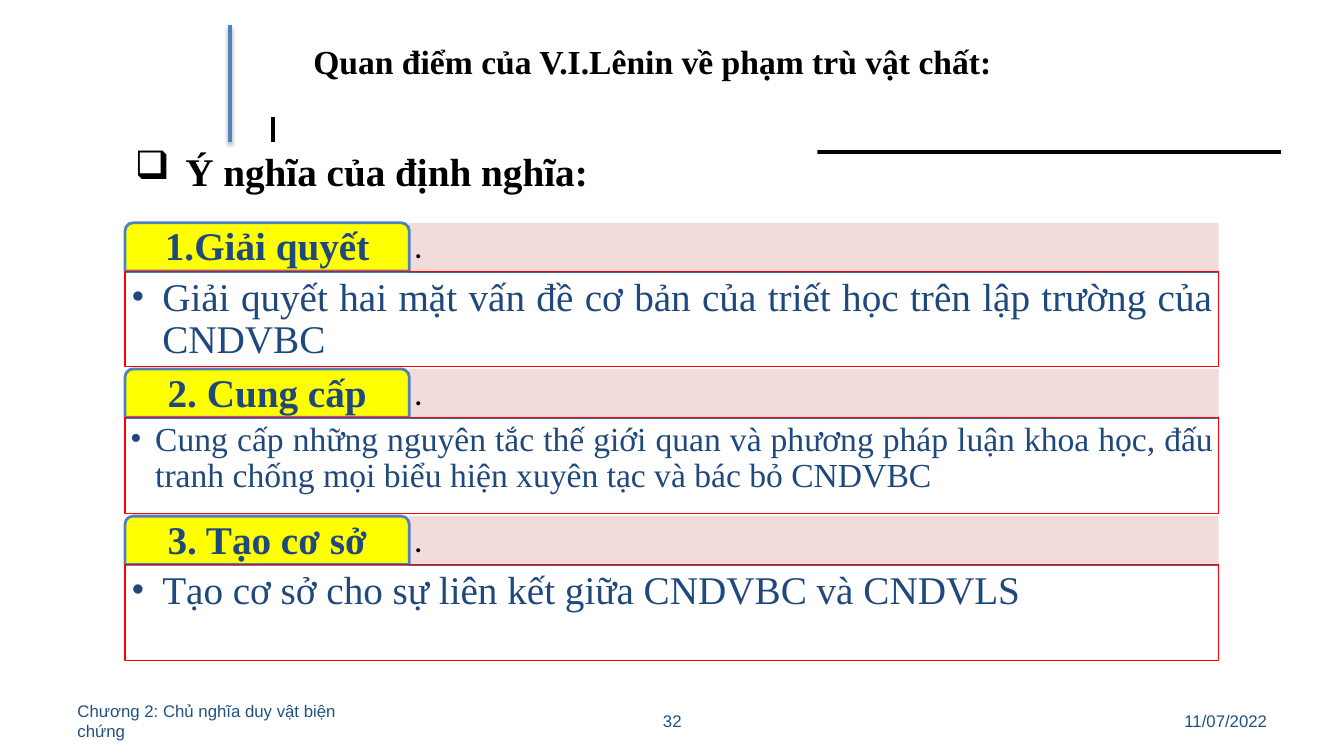
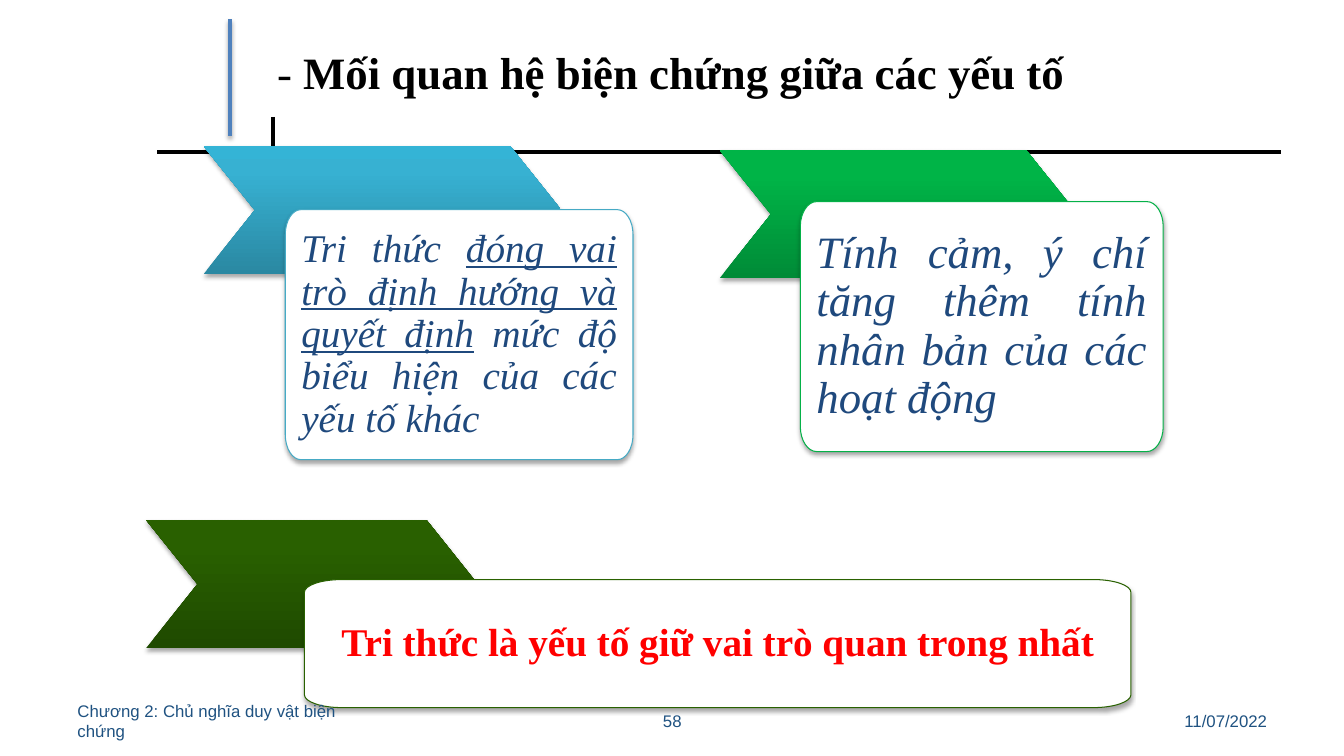
from copy import deepcopy

from lxml.etree import SubElement
from pptx import Presentation
from pptx.dml.color import RGBColor
from pptx.enum.shapes import MSO_CONNECTOR, MSO_SHAPE
from pptx.enum.text import MSO_ANCHOR, MSO_AUTO_SIZE, PP_ALIGN
from pptx.oxml.ns import qn
from pptx.util import Pt

SCALE = 9144  # EMU per px, 100 px to the inch
SERIF, SANS = "Times New Roman", "Arial"
BLACK, WHITE, RED, YELLOW = "000000", "FFFFFF", "FF0000", "FFFF00"
NAVY, BLUE, STEEL, PINK, FOOTER = "1F497D", "4F81BD", "3F6797", "F2DCDB", "1F5281"
DOT, CHECKBOX = (SERIF, "•"), ("Wingdings", "q")
CHAPTER, DATE = "Chương 2: Chủ nghĩa duy vật biện chứng", "11/07/2022"


def px(*values):
    return [round(v * SCALE) for v in values]


def rgb(color):
    return RGBColor.from_string(color)


def add_shadow(effects):
    shadow = SubElement(effects, qn("a:outerShdw"), blurRad="40000", dist="23000",
                        dir="5400000", rotWithShape="0")
    color = SubElement(shadow, qn("a:srgbClr"), val=BLACK)
    SubElement(color, qn("a:alpha"), val="35000")


def round_corners(sp, corners):
    """Turn every other segment of an outline into a curve towards its corner."""
    geometry = sp._element.spPr.find(qn("a:custGeom"))
    points = [(int(pt.get("x")), int(pt.get("y"))) for pt in geometry.iter(qn("a:pt"))]
    segments = list(geometry.iter(qn("a:lnTo")))
    for i, corner in enumerate(corners):
        segment, start, end = segments[2 * i], points[2 * i], points[2 * i + 1]
        controls = [[round(a + 0.55 * (c - a)) for a, c in zip(point, corner)]
                    for point in (start, end)]
        curve = segment.makeelement(qn("a:cubicBezTo"))
        for x, y in (*controls, end):
            SubElement(curve, qn("a:pt"), x=str(x), y=str(y))
        segment.getparent().replace(segment, curve)


class Deck:
    def __init__(self):
        self.prs = Presentation()
        self.prs.slide_width, self.prs.slide_height = px(1333.33, 750)
        self.s = None

    def new_slide(self):
        self.s = self.prs.slides.add_slide(self.prs.slide_layouts[6])
        self.line(156, 151, 1271, 151, BLACK, 3)
        self.line(271, 116, 271, 169, BLACK, 3)

    def finish_slide(self, number, accent_top):
        """Add the accent bar and the footer above everything else."""
        self.line(228, accent_top, 228, accent_top + 116, BLUE, 3, shadow=True)
        for left, width, text, align in ((956, 311, DATE, PP_ALIGN.RIGHT),
                                         (67, 311, CHAPTER, PP_ALIGN.LEFT),
                                         (456, 422, number, PP_ALIGN.CENTER)):
            box = self.s.shapes.add_textbox(*px(left, 695, width, 40))
            self.text(box, text, 12, FOOTER, align, MSO_ANCHOR.MIDDLE, font=SANS)

    def line(self, x1, y1, x2, y2, color, width, shadow=False):
        c = self.s.shapes.add_connector(MSO_CONNECTOR.STRAIGHT, *px(x1, y1, x2, y2))
        c.line.color.rgb, c.line.width = rgb(color), Pt(width)
        effects = SubElement(c._element.spPr, qn("a:effectLst"))
        if shadow:
            add_shadow(effects)

    def paint(self, sp, fill=None, line=None, width=1, shadow=False):
        sp.shadow.inherit = False
        if shadow:
            add_shadow(sp._element.spPr.find(qn("a:effectLst")))
        if fill:
            sp.fill.solid()
            sp.fill.fore_color.rgb = rgb(fill)
        else:
            sp.fill.background()
        if line:
            sp.line.color.rgb, sp.line.width = rgb(line), Pt(width)
        else:
            sp.line.fill.background()

    def shape(self, kind, box, **look):
        sp = self.s.shapes.add_shape(kind, *px(*box))
        self.paint(sp, **look)
        return sp

    def text(self, sp, parts, size, color, align, anchor=MSO_ANCHOR.TOP, inset=None,
             spacing=None, bullet=None, hang=0, font=SERIF, grow=False, **marks):
        """Fill a shape; parts is a string or a list of (string, font marks)."""
        tf = sp.text_frame
        tf.word_wrap, tf.vertical_anchor = True, anchor
        if grow:
            tf.auto_size = MSO_AUTO_SIZE.SHAPE_TO_FIT_TEXT
        if inset is not None:
            for side in ("left", "top", "right", "bottom"):
                setattr(tf, f"margin_{side}", px(inset)[0])
        p = tf.paragraphs[0]
        if bullet:
            bullet_font, char = bullet
            pPr = p._p.get_or_add_pPr()
            indent = px(hang)[0]
            pPr.set("marL", str(indent))
            pPr.set("indent", str(-indent))
            SubElement(pPr, qn("a:buFont"), typeface=bullet_font)
            SubElement(pPr, qn("a:buChar"), char=char)
        p.alignment = align
        if spacing:
            p.line_spacing = spacing
        for content, extra in [(parts, {})] if isinstance(parts, str) else parts:
            r = p.add_run()
            r.text = content
            style = {"name": font, "size": Pt(size), **marks, **extra}
            for name, value in style.items():
                setattr(r.font, name, value)
            r.font.color.rgb = rgb(color)

    def section(self, top, heading, body, size, inset, hang):
        """A yellow tab on a pink band, over a red-edged box with one bullet."""
        band = self.shape(MSO_SHAPE.RECTANGLE, (406, top, 803, 48), fill=PINK)
        self.text(band, ".", 24, BLACK, PP_ALIGN.LEFT, MSO_ANCHOR.BOTTOM, 5, 0.9,
                  font="Calibri")
        tab = self.shape(MSO_SHAPE.ROUND_2_SAME_RECTANGLE, (124, top, 282, 48),
                         fill=YELLOW, line=BLUE, width=2)
        self.text(tab, heading, 28, NAVY, PP_ALIGN.CENTER, MSO_ANCHOR.MIDDLE, 6, 0.9,
                  bold=True)
        box = self.shape(MSO_SHAPE.RECTANGLE, (124, top + 48, 1085, 95),
                         line=RED, width=0.75)
        self.text(box, body, size, NAVY, PP_ALIGN.JUSTIFY, inset=inset, spacing=0.9,
                  bullet=DOT, hang=hang)

    def chevron(self, box, colors):
        sp = self.shape(MSO_SHAPE.CHEVRON, box, shadow=True)
        sp.adjustments[0] = 0.4
        sp.fill.gradient()
        sp.fill.gradient_angle = 90
        stop_list = sp._element.spPr.find(qn("a:gradFill")).find(qn("a:gsLst"))
        stop_list.append(deepcopy(stop_list[-1]))
        for stop, position, color in zip(sp.fill.gradient_stops, (0, 0.8, 1), colors):
            stop.position, stop.color.rgb = position, rgb(color)

    def card(self, box, edge, parts, size, color, align, **marks):
        """A white card with elliptical corners."""
        left, top, width, height = px(*box)
        right, bottom = left + width, top + height
        rx, ry = round(0.045 * width), round(0.1 * height)
        outline = self.s.shapes.build_freeform(left, top + ry)
        outline.add_line_segments([(left + rx, top), (right - rx, top),
                                   (right, top + ry), (right, bottom - ry),
                                   (right - rx, bottom), (left + rx, bottom),
                                   (left, bottom - ry)], close=True)
        sp = outline.convert_to_shape()
        round_corners(sp, ((0, 0), (width, 0), (width, height), (0, height)))
        self.paint(sp, fill=WHITE, line=edge, width=0.75, shadow=True)
        self.text(sp, parts, size, color, align, MSO_ANCHOR.MIDDLE, 16, 0.9, **marks)


def meaning_slide(deck):
    deck.new_slide()
    title = deck.shape(MSO_SHAPE.RECTANGLE, (301, 36, 866, 51), fill=WHITE)
    deck.text(title, "Quan điểm của V.I.Lênin về phạm trù vật chất:", 24, BLACK,
              PP_ALIGN.JUSTIFY, grow=True, bold=True)
    subtitle = deck.shape(MSO_SHAPE.RECTANGLE, (124, 141, 687, 57), fill=WHITE)
    deck.text(subtitle, "Ý nghĩa của định nghĩa: ", 28, BLACK, PP_ALIGN.JUSTIFY,
              bullet=CHECKBOX, hang=50, grow=True, bold=True)
    sections = (
        ("1.Giải quyết", "Giải quyết hai mặt vấn đề cơ bản của triết học trên lập "
         "trường của CNDVBC", 28, 6, 31),
        ("2. Cung cấp", "Cung cấp những nguyên tắc thế giới quan và phương pháp luận "
         "khoa học, đấu tranh chống mọi biểu hiện xuyên tạc và bác bỏ CNDVBC ", 24, 5, 25),
        ("3. Tạo cơ sở", "Tạo cơ sở cho sự liên kết giữa CNDVBC và CNDVLS", 28, 6, 31),
    )
    tops = [221 + 291 * i // 2 for i in range(len(sections))]
    for top in reversed(tops):
        deck.line(124, top + 48, 1209, top + 48, STEEL, 2)
    for top, content in zip(tops, sections):
        deck.section(top, *content)
    deck.finish_slide("32", 25)


def relation_slide(deck):
    deck.new_slide()
    title = deck.s.shapes.add_textbox(*px(265, 39, 819, 64))
    deck.text(title, [("- ", {}), ("Mối quan hệ biện chứng giữa các yếu tố", {"bold": True})],
              32, BLACK, PP_ALIGN.JUSTIFY, grow=True)
    deck.chevron((202, 145, 355, 127), ("2A88A2", "37B1D2", "34B4D6"))
    deck.card((283, 208, 345, 248), "46AAC5",
              [("Tri thức ", {}),
               ("đóng vai trò định hướng và quyết định", {"underline": True}),
               (" mức độ biểu hiện của các yếu tố khác", {})],
              28, NAVY, PP_ALIGN.JUSTIFY, italic=True)
    deck.chevron((714, 149, 355, 127), ("008B37", "00B447", "00B547"))
    deck.card((794, 200, 360, 248), "05B148",
              "Tính cảm, ý chí tăng thêm tính nhân bản của các hoạt động",
              32, NAVY, PP_ALIGN.JUSTIFY, italic=True)
    deck.chevron((145, 516, 329, 127), ("1F4A00", "296000", "296000"))
    deck.card((302, 575, 820, 127), "296100",
              "Tri thức là yếu tố giữ vai trò quan trong nhất",
              28, RED, PP_ALIGN.CENTER, bold=True)
    deck.finish_slide("58", 19)


def main():
    deck = Deck()
    meaning_slide(deck)
    relation_slide(deck)
    deck.prs.save("out.pptx")


if __name__ == "__main__":
    main()
